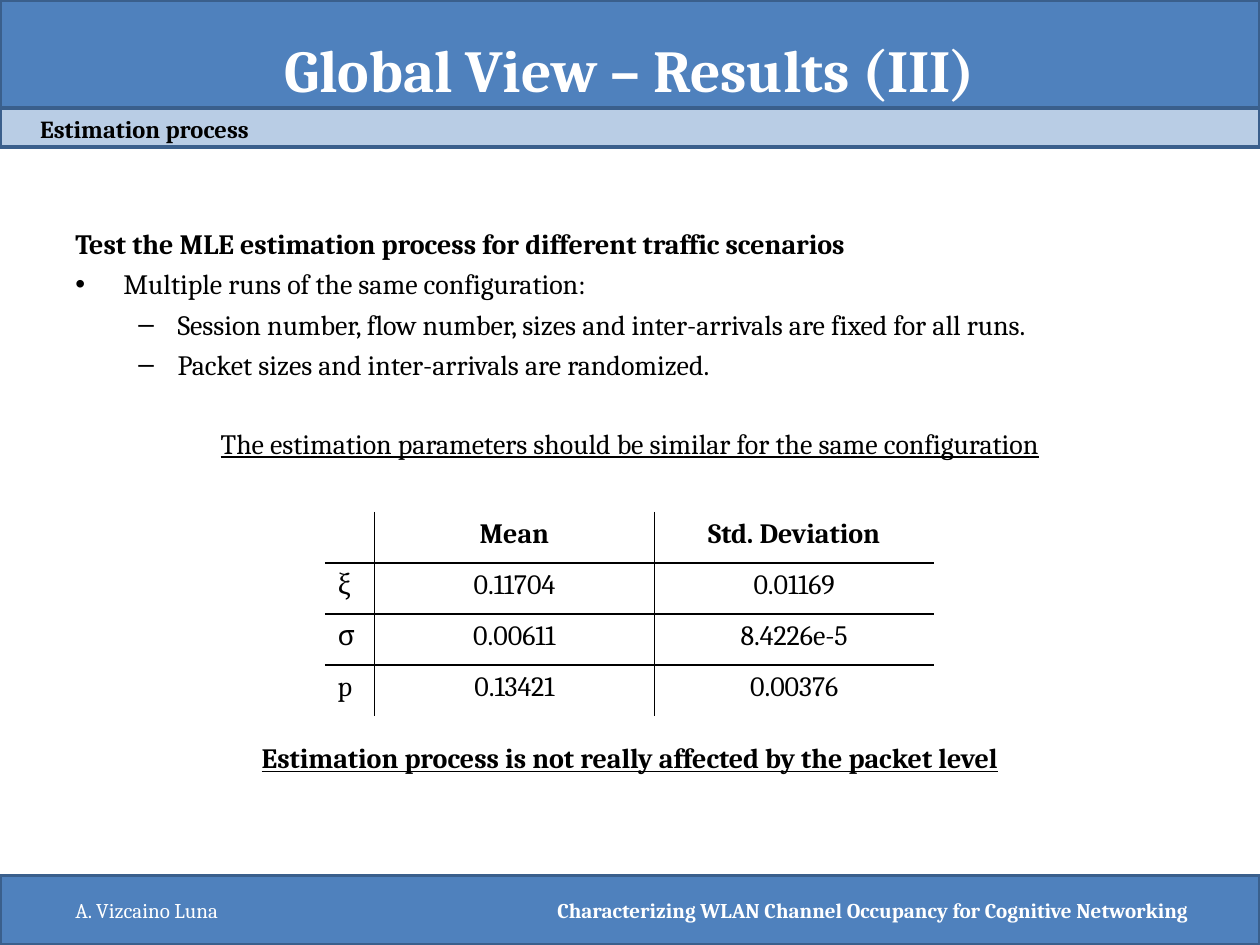
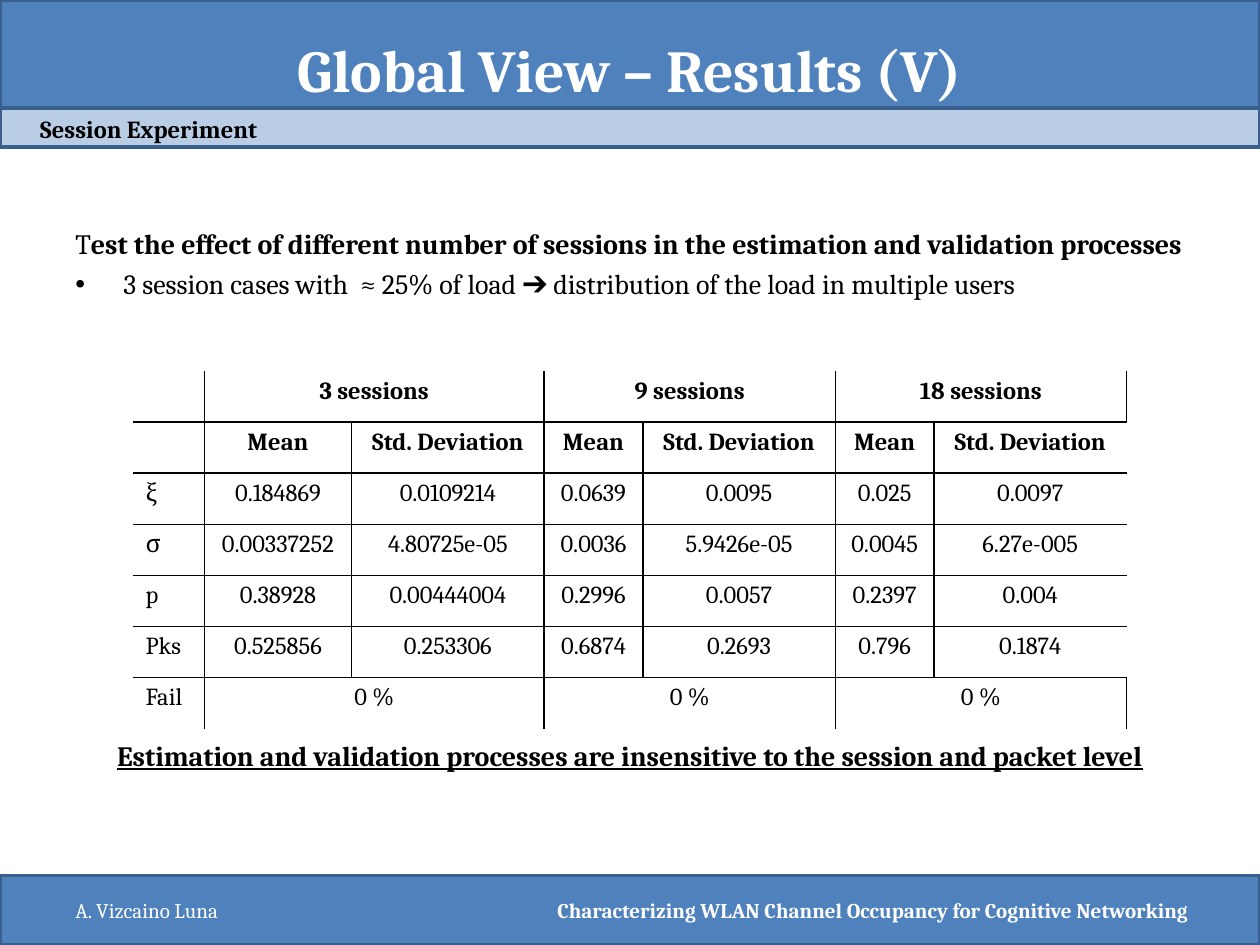
from lxml import etree
from pptx import Presentation
from pptx.dml.color import RGBColor
from pptx.enum import shapes, text
from pptx.oxml import ns
from pptx.util import Cm, Pt

# Content: a body line is (style, blank lines above it, runs as (words, look))
AUTHOR = "A. Vizcaino Luna"
TALK = "Characterizing WLAN Channel Occupancy for Cognitive Networking"
PAIR = ["Mean", "Std. Deviation"]
SLIDES = [
    {
        "title": "Global View – Results (III)",
        "topic": "Estimation process",
        "body": [
            ("plain", 0, [("Test the MLE estimation process for different traffic scenarios", "b")]),
            ("dot", 0, [("Multiple runs of the same configuration:", "")]),
            ("dash", 0, [("Session number, flow number, sizes and inter-arrivals are fixed for all runs.", "")]),
            ("dash", 0, [("Packet sizes and inter-arrivals are randomized.", "")]),
            ("mid", 1, [("The estimation parameters should be similar for the same configuration", "u")]),
            ("mid", 7, [("Estimation process is not really affected by the packet level", "bu")]),
        ],
        "at": (6.55, 10.32), "cols": [1.0, 5.64, 5.64], "size": 16, "heads": 1,
        "rows": [
            ["", *PAIR],
            ["ξ", "0.11704", "0.01169"],
            ["σ", "0.00611", "8.4226e-5"],
            ["p", "0.13421", "0.00376"],
        ],
    },
    {
        "title": "Global View – Results (V)",
        "topic": "Session Experiment",
        "body": [
            ("plain", 0, [("T", ""), ("est the effect of different number of sessions "
                                      "in the estimation and validation processes", "b")]),
            ("dot", 0, [("3 session cases with  ≈ 25% of load ➔ distribution of the load in multiple users", "")]),
            ("mid", 11, [("Estimation and validation processes are insensitive "
                          "to the session and packet level", "bu")]),
        ],
        "at": (2.68, 7.48), "cols": [1.44, 2.97, 3.88, 1.99, 3.88, 1.99, 3.88], "size": 14, "heads": 2,
        # None continues the cell on its left
        "rows": [
            ["", "3 sessions", None, "9 sessions", None, "18 sessions", None],
            ["", *PAIR * 3],
            ["ξ", "0.184869", "0.0109214", "0.0639", "0.0095", "0.025", "0.0097"],
            ["σ", "0.00337252", "4.80725e-05", "0.0036", "5.9426e-05", "0.0045", "6.27e-005"],
            ["p", "0.38928", "0.00444004", "0.2996", "0.0057", "0.2397", "0.004"],
            ["Pks", "0.525856", "0.253306", "0.6874", "0.2693", "0.796", "0.1874"],
            ["Fail", "0 %", None, "0 %", None, "0 %", None],
        ],
    },
]

# Shared look
FONT = "Cambria"
BLUE = RGBColor(0x4F, 0x81, 0xBD)
PALE = RGBColor(0xB9, 0xCD, 0xE5)
EDGE = RGBColor(0x3A, 0x5F, 0x8C)
WHITE = RGBColor(255, 255, 255)
BLACK = RGBColor(0, 0, 0)
WIDE, HIGH = 25.4, 19.05
BANDS = [(0, 2.18, BLUE), (17.65, 1.4, BLUE), (2.18, 0.79, PALE)]  # top, height, fill
LEFT, MID, RIGHT = text.PP_ALIGN.LEFT, text.PP_ALIGN.CENTER, text.PP_ALIGN.RIGHT
TOP, CENTRE = text.MSO_ANCHOR.TOP, text.MSO_ANCHOR.MIDDLE
BULLETS = {"dot": ("•", 0.97, -0.97), "dash": ("–", 2.06, -0.79)}  # sign, margin, indent
LINE, GAP = 22.4, 3.7  # points from line to line, and above each line
ROW = 1.03


def style(run, size, color, look=""):
    font = run.font
    font.name, font.size = FONT, Pt(size)
    font.bold, font.underline = "b" in look, "u" in look
    font.color.rgb = color


def add_box(slide, at, anchor=CENTRE):
    frame = slide.shapes.add_textbox(*map(Cm, at)).text_frame
    frame.word_wrap = True
    frame.vertical_anchor = anchor
    return frame


def add_label(slide, at, words, size, color, look="b", align=LEFT, anchor=CENTRE, gap=0):
    frame = add_box(slide, at, anchor)
    frame.text = words
    para = frame.paragraphs[0]
    para.alignment, para.space_before = align, Pt(gap)
    style(para.runs[0], size, color, look)


def add_frame(slide, title, topic):
    """Bands, title, topic and footer."""
    for top, high, fill in BANDS:
        band = slide.shapes.add_shape(shapes.MSO_SHAPE.RECTANGLE, 0, Cm(top), Cm(WIDE), Cm(high))
        band.shadow.inherit = False
        band.fill.solid()
        band.fill.fore_color.rgb = fill
        band.line.color.rgb = EDGE
        band.line.width = Pt(2)
    add_label(slide, (1.27, -0.2, 22.86, 3.18), title, 34, WHITE, align=MID)
    add_label(slide, (8.69, 17.83, 15.52, 1.02), TALK, 12, WHITE, align=RIGHT)
    add_label(slide, (1.27, 17.83, 5.92, 1.02), AUTHOR, 12, WHITE, "")
    add_label(slide, (0.56, 2.18, 22.86, 1.9), topic, 14, BLACK, anchor=TOP, gap=3)


def add_body(slide, lines):
    frame = add_box(slide, (1.27, 4.45, 22.86, 12.57), TOP)
    for i, (kind, skip, runs) in enumerate(lines):
        para = frame.add_paragraph() if i else frame.paragraphs[0]
        para.alignment = MID if kind == "mid" else LEFT
        para.space_before = Pt(GAP + skip * LINE)
        for words, look in runs:
            run = para.add_run()
            run.text = words
            style(run, 16, BLACK, look)
        if kind in BULLETS:
            sign, margin, indent = BULLETS[kind]
            props = para._p.get_or_add_pPr()
            props.set("marL", str(Cm(margin)))
            props.set("indent", str(Cm(indent)))
            etree.SubElement(props, ns.qn("a:buFont"), typeface="Arial")
            etree.SubElement(props, ns.qn("a:buChar"), char=sign)


def rule(cell, sides):
    """Draw the named sides of a cell and clear the others."""
    props = cell._tc.get_or_add_tcPr()
    for side in "LRTB":
        line = etree.SubElement(props, ns.qn("a:ln" + side), w=str(Pt(1)))
        if side in sides:
            fill = etree.SubElement(line, ns.qn("a:solidFill"))
            etree.SubElement(fill, ns.qn("a:srgbClr"), val=str(BLACK))
        else:
            etree.SubElement(line, ns.qn("a:noFill"))


def add_grid(slide, at, cols, rows, size, heads):
    high, wide = len(rows), len(cols)
    grid = slide.shapes.add_table(high, wide, *map(Cm, (*at, sum(cols), high * ROW))).table
    grid.first_row = grid.horz_banding = False
    for col, width in zip(grid.columns, cols):
        col.width = Cm(width)
    for r, row in enumerate(rows):
        grid.rows[r].height = Cm(ROW)
        for c, words in enumerate(row):
            cell = grid.cell(r, c)
            # Only inner lines are drawn
            inner = {"L": c > 0, "R": c < wide - 1, "T": r > 0, "B": r < high - 1}
            rule(cell, [side for side in inner if inner[side]])
            cell.fill.background()
            cell.text_frame.text = words or ""
            para = cell.text_frame.paragraphs[0]
            para.font.size = Pt(size)
            para.alignment = MID if c else LEFT
            for run in para.runs:
                style(run, size, BLACK, "b" if r < heads else "")
            if words is None:
                grid.cell(r, c - 1).merge(cell)


def main():
    deck = Presentation()
    deck.slide_width, deck.slide_height = Cm(WIDE), Cm(HIGH)
    for page in SLIDES:
        slide = deck.slides.add_slide(deck.slide_layouts[6])
        add_frame(slide, page["title"], page["topic"])
        add_body(slide, page["body"])
        add_grid(slide, page["at"], page["cols"], page["rows"], page["size"], page["heads"])
    deck.save("out.pptx")


if __name__ == "__main__":
    main()
